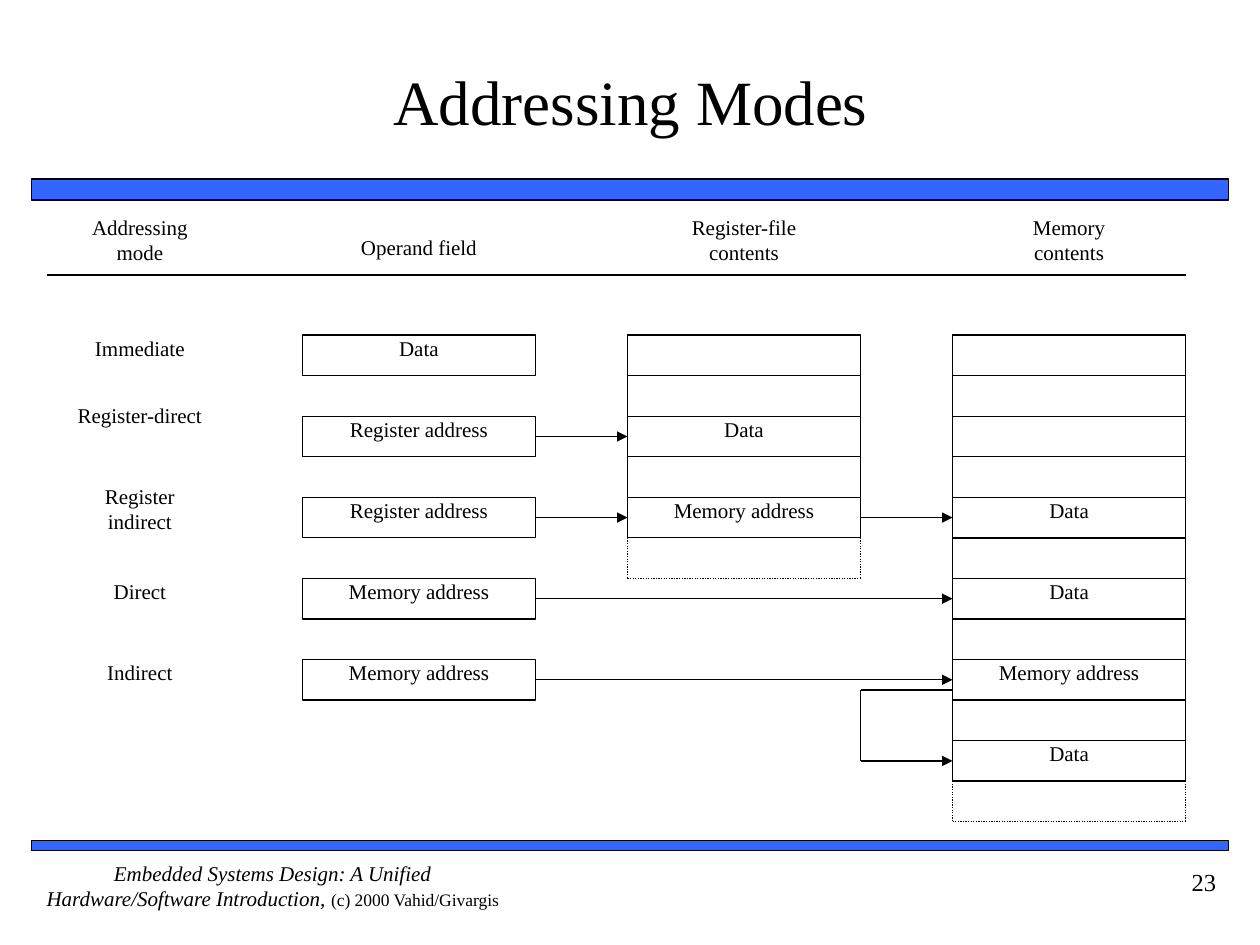
from lxml import etree
from pptx import Presentation
from pptx import util as u
from pptx.dml.color import RGBColor
from pptx.enum import dml, shapes, text
from pptx.oxml import ns

COLORS = {"ink": "000000", "bar": "3366FF", "paper": "FFFFFF"}
MODE_X, OPERAND_X, REGISTER_X, MEMORY_X = 0.37, 2.4, 4.98, 7.56
MODE_W, CELL_W = 1.48, 1.85
GRID_TOP, ROW_H = 2.66, 3.54 / 11
HEADER_TOP, HEADER_BOTTOM = 1.7, 2.18


def row_y(row):
    """Top of a memory row; fractions reach inside the row."""
    return GRID_TOP + row * ROW_H


class SlideBuilder:
    font = "Times New Roman"
    size = 12
    line_width = 0.75

    def __init__(self, slide):
        self.slide = slide

    def color(self, name):
        return RGBColor.from_string(COLORS[name])

    def set_text(self, shape, paragraphs, align=text.PP_ALIGN.CENTER,
                 anchor=text.MSO_ANCHOR.TOP, inset_x=0, inset_y=0):
        """Fill a shape; each paragraph is a list of (words, size, italic)."""
        frame = shape.text_frame
        frame.word_wrap = True
        frame.vertical_anchor = anchor
        frame.margin_left = frame.margin_right = u.Inches(inset_x)
        frame.margin_top = frame.margin_bottom = u.Inches(inset_y)
        for index, runs in enumerate(paragraphs):
            para = frame.add_paragraph() if index else frame.paragraphs[0]
            para.alignment = align
            for words, size, italic in runs:
                span = para.add_run()
                span.text = words
                span.font.name = self.font
                span.font.size = u.Pt(size)
                span.font.italic = italic
                span.font.color.rgb = self.color("ink")

    def rich_text(self, x, y, width, height, paragraphs, **layout):
        box = self.slide.shapes.add_textbox(*map(u.Inches, (x, y, width, height)))
        self.set_text(box, paragraphs, **layout)

    def label(self, x, y, width, height, *lines, **layout):
        paragraphs = [[(line, self.size, False)] for line in lines]
        self.rich_text(x, y, width, height, paragraphs, **layout)

    def rectangle(self, x, y, width, height, fill=None, line_width=line_width):
        box = self.slide.shapes.add_shape(
            shapes.MSO_SHAPE.RECTANGLE, *map(u.Inches, (x, y, width, height)))
        box.shadow.inherit = False
        if fill:
            box.fill.solid()
            box.fill.fore_color.rgb = self.color(fill)
        else:
            box.fill.background()
        box.line.color.rgb = self.color("ink")
        box.line.width = u.Pt(line_width)
        return box

    def line(self, x1, y1, x2, y2, width=line_width, dotted=False, arrow=False):
        link = self.slide.shapes.add_connector(
            shapes.MSO_CONNECTOR.STRAIGHT, *map(u.Inches, (x1, y1, x2, y2)))
        link.line.color.rgb = self.color("ink")
        link.line.width = u.Pt(width)
        if dotted:
            link.line.dash_style = dml.MSO_LINE.ROUND_DOT
        properties = link.element.spPr
        if arrow:
            etree.SubElement(properties.find(ns.qn("a:ln")), ns.qn("a:tailEnd"),
                             type="triangle")
        etree.SubElement(properties, ns.qn("a:effectLst"))

    def operand(self, row, words):
        box = self.rectangle(OPERAND_X, row_y(row), CELL_W, ROW_H, fill="paper")
        self.set_text(box, [[(words, self.size, False)]])

    def storage(self, x, rows, contents):
        """A stack of cells that trails off in a dotted one."""
        right, bottom, end = x + CELL_W, row_y(rows), row_y(rows + 1)
        self.rectangle(x, GRID_TOP, CELL_W, rows * ROW_H)
        for row in range(1, rows):
            self.line(x, row_y(row), right, row_y(row))
        for side in (x, right):
            self.line(side, bottom, side, end, dotted=True)
        self.line(x, end, right, end, dotted=True)
        for row, words in contents.items():
            self.label(x, row_y(row), CELL_W, ROW_H, words)


def add_frame(builder):
    for y, height in ((1.42, 0.17), (6.67, 0.08)):
        builder.rectangle(0.25, y, 9.5, height, fill="bar", line_width=1)
    builder.rich_text(0.42, 0.17, 9.17, 1.25, [[("Addressing Modes", 36, False)]],
                      anchor=text.MSO_ANCHOR.MIDDLE, inset_y=0.05)
    builder.rich_text(0.25, 6.83, 3.83, 0.5, [[
        ("Embedded Systems Design: A Unified Hardware/Software Introduction, ", 12, True),
        ("(c) 2000 Vahid/Givargis", 10, False)]])
    builder.rich_text(8.75, 6.83, 1, 0.5, [[("23", 14, False)]],
                      align=text.PP_ALIGN.RIGHT, inset_x=0.1, inset_y=0.05)


def add_headers(builder):
    height = HEADER_BOTTOM - HEADER_TOP
    for x, width, lines in (
        (MODE_X, MODE_W, ("Addressing", "mode")),
        (REGISTER_X, CELL_W, ("Register-file", "contents")),
        (MEMORY_X, CELL_W, ("Memory", "contents")),
    ):
        builder.label(x, HEADER_TOP, width, height, *lines)
    builder.label(OPERAND_X, 1.86, CELL_W, ROW_H, "Operand field")
    builder.line(MODE_X, HEADER_BOTTOM, MEMORY_X + CELL_W, HEADER_BOTTOM, width=1)


def add_modes(builder):
    for row, mode in ((0, "Immediate"), (6, "Direct"), (8, "Indirect")):
        builder.label(MODE_X, row_y(row), MODE_W, ROW_H, mode)
    for row, lines in ((1.5, ["Register-direct"]), (3.5, ["Register", "indirect"])):
        builder.label(MODE_X, row_y(row), MODE_W, 2 * ROW_H, *lines, inset_y=0.05)
    operands = ("Data", "Register address", "Register address",
                "Memory address", "Memory address")
    for index, words in enumerate(operands):
        builder.operand(2 * index, words)


def add_arrows(builder):
    operand_right, register_right = OPERAND_X + CELL_W, REGISTER_X + CELL_W
    for row, start, end in (
        (2, operand_right, REGISTER_X),
        (4, operand_right, REGISTER_X),
        (4, register_right, MEMORY_X),
        (6, operand_right, MEMORY_X),
        (8, operand_right, MEMORY_X),
        (10, register_right, MEMORY_X),
    ):
        middle = row_y(row + 0.5)
        builder.line(start, middle, end, middle, arrow=True)
    loop_top = row_y(8.75)
    builder.line(MEMORY_X, loop_top, register_right, loop_top)
    builder.line(register_right, loop_top, register_right, row_y(10.5))


def main():
    deck = Presentation()
    deck.slide_width, deck.slide_height = u.Inches(10), u.Inches(7.5)
    page = deck.slides.add_slide(deck.slide_layouts[6])
    builder = SlideBuilder(page)
    add_frame(builder)
    add_headers(builder)
    add_modes(builder)
    builder.storage(REGISTER_X, 5, {2: "Data", 4: "Memory address"})
    builder.storage(MEMORY_X, 11, {4: "Data", 6: "Data", 8: "Memory address", 10: "Data"})
    add_arrows(builder)
    deck.save("out.pptx")


if __name__ == "__main__":
    main()
